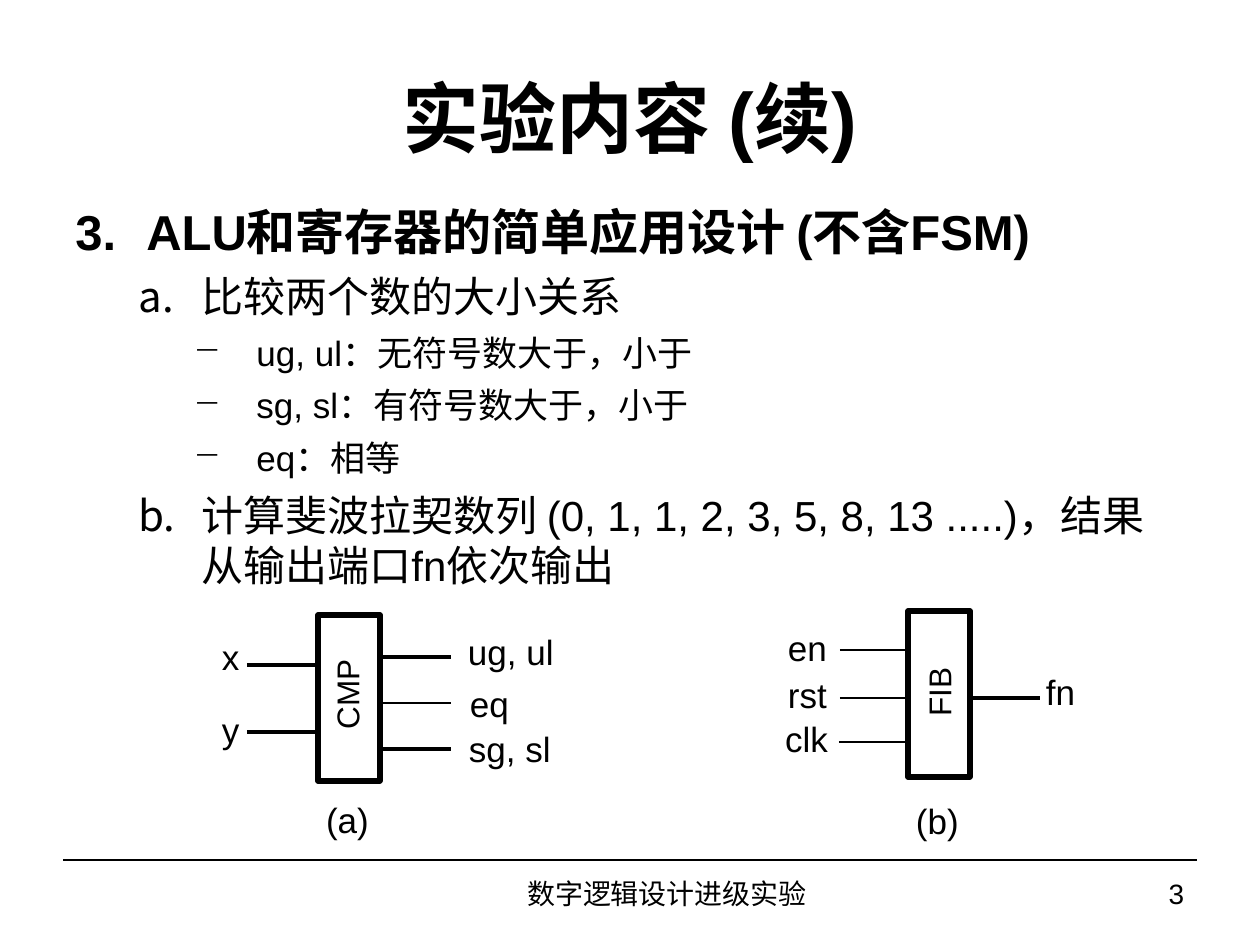
from lxml import etree
from pptx import Presentation
from pptx.dml.color import RGBColor
from pptx.enum.shapes import MSO_CONNECTOR, MSO_SHAPE
from pptx.enum.text import MSO_ANCHOR, PP_ALIGN
from pptx.oxml.ns import qn
from pptx.util import Emu, Pt

LEFT, MID, RIGHT = PP_ALIGN.LEFT, PP_ALIGN.CENTER, PP_ALIGN.RIGHT
CENTER = MSO_ANCHOR.MIDDLE
TOP = MSO_ANCHOR.TOP
RECT = MSO_SHAPE.RECTANGLE
LINE = MSO_CONNECTOR.STRAIGHT
SCALE = 914400 / 126


def px(n):
    return Emu(round(n * SCALE))


def rgb(code):
    return RGBColor.from_string(code)


class Page:
    """Draws the elements of one slide in a shared style."""

    font = "Arial"
    ink = "000000"

    def __init__(self, deck):
        self.slide = deck.slides.add_slide(deck.slide_layouts[5])
        self.shapes = self.slide.shapes

    def style(self, para, size, bold=False, align=LEFT):
        para.alignment = align
        font = para.font
        font.name, font.size, font.bold = self.font, Pt(size), bold
        font.color.rgb = rgb(self.ink)

    def title(self, text, x, y, w, h):
        box = self.shapes.title
        box.left, box.top, box.width, box.height = map(px, (x, y, w, h))
        frame = box.text_frame
        frame.text, frame.vertical_anchor = text, CENTER
        self.style(frame.paragraphs[0], 44, True, MID)

    def text(self, text, x, y, w, h, size=20, align=LEFT, inset=0, wrap=False):
        frame = self.shapes.add_textbox(*map(px, (x, y, w, h))).text_frame
        frame.margin_left = frame.margin_right = px(inset)
        frame.margin_top = frame.margin_bottom = px(inset / 2)
        frame.word_wrap, frame.vertical_anchor = wrap, CENTER
        frame.text = text
        self.style(frame.paragraphs[0], size, align=align)
        return frame

    def upright(self, text, x, y, w, h):
        frame = self.text(text, x, y, w, h, size=18, inset=13)
        frame.vertical_anchor = TOP
        frame._txBody.bodyPr.set("vert", "vert270")

    def outline(self, items, levels, x, y, w, h):
        frame = self.shapes.add_textbox(*map(px, (x, y, w, h))).text_frame
        frame.word_wrap = True
        for i, (level, text) in enumerate(items):
            para = frame.add_paragraph() if i else frame.paragraphs[0]
            para.text, para.level, para.space_before = text, level, Pt(6)
            size, bold, margin, hang, tag, attrs = levels[level]
            self.style(para, size, bold)
            props = para._p.get_or_add_pPr()
            props.set("marL", str(px(margin)))
            props.set("indent", str(-px(hang)))
            mark = etree.SubElement(props, qn(tag), attrs)
            props.remove(mark)
            props.insert_element_before(mark, "a:tabLst", "a:defRPr", "a:extLst")

    def block(self, x, y, w, h):
        box = self.shapes.add_shape(RECT, *map(px, (x, y, w, h)))
        box.shadow.inherit = False
        box.fill.background()
        box.line.color.rgb, box.line.width = rgb(self.ink), Pt(3)

    def wire(self, x, y, length, width):
        line = self.shapes.add_connector(LINE, px(x), px(y), px(x + length), px(y))
        line.line.color.rgb, line.line.width = rgb(self.ink), Pt(width)
        etree.SubElement(line._element.spPr, qn("a:effectLst"))


LEVELS = [
    (28, True, 71, 71, "a:buAutoNum", {"type": "arabicPeriod", "startAt": "3"}),
    (24, False, 126, 63, "a:buAutoNum", {"type": "alphaLcPeriod"}),
    (20, False, 181, 63, "a:buChar", {"char": "−"}),
]
ITEMS = [
    (0, "ALU和寄存器的简单应用设计 (不含FSM)"),
    (1, "比较两个数的大小关系"),
    (2, "ug, ul：无符号数大于，小于"),
    (2, "sg, sl：有符号数大于，小于"),
    (2, "eq：相等"),
    (1, "计算斐波拉契数列 (0, 1, 1, 2, 3, 5, 8, 13 .....)，结果从输出端口fn依次输出"),
]
BLOCKS = [
    ("CMP", (318, 615, 62, 166), (315, 653, 64, 83)),
    ("FIB", (908, 611, 62, 166), (907, 661, 63, 62)),
]
WIRES = [
    (247, 665, 2.25), (247, 732, 2.25),
    (382, 657, 2.25), (382, 703, 1.5), (382, 749, 2.25),
    (840, 650, 1.5), (840, 698, 1.5), (839, 742, 1.5),
    (971, 698, 2.25),
]
LABELS = [
    ("x", 222, 635, 18), ("y", 222, 708, 18),
    ("ug, ul", 468, 630, 86), ("eq", 470, 682, 39), ("sg, sl", 469, 727, 84),
    ("en", 788, 626, 39), ("rst", 788, 673, 39), ("clk", 785, 717, 43),
    ("fn", 1046, 670, 30),
    ("(a)", 326, 798, 43), ("(b)", 916, 799, 43),
]

deck = Presentation()
deck.slide_width, deck.slide_height = px(1260), px(945)
page = Page(deck)
page.wire(63, 860, 1134, 0.75)
page.title("实验内容 (续)", 63, 38, 1134, 157)
page.outline(ITEMS, LEVELS, 63, 195, 1103, 428)
page.text("数字逻辑设计进级实验", 357, 860, 620, 66, 16, MID, 13, True)
page.text("3", 977, 860, 220, 66, 16, RIGHT, 13, True)
for name, frame, label in BLOCKS:
    page.block(*frame)
    page.upright(name, *label)
for x, y, width in WIRES:
    page.wire(x, y, 69, width)
for text, x, y, w in LABELS:
    page.text(text, x, y, w, 43)
deck.save("out.pptx")
